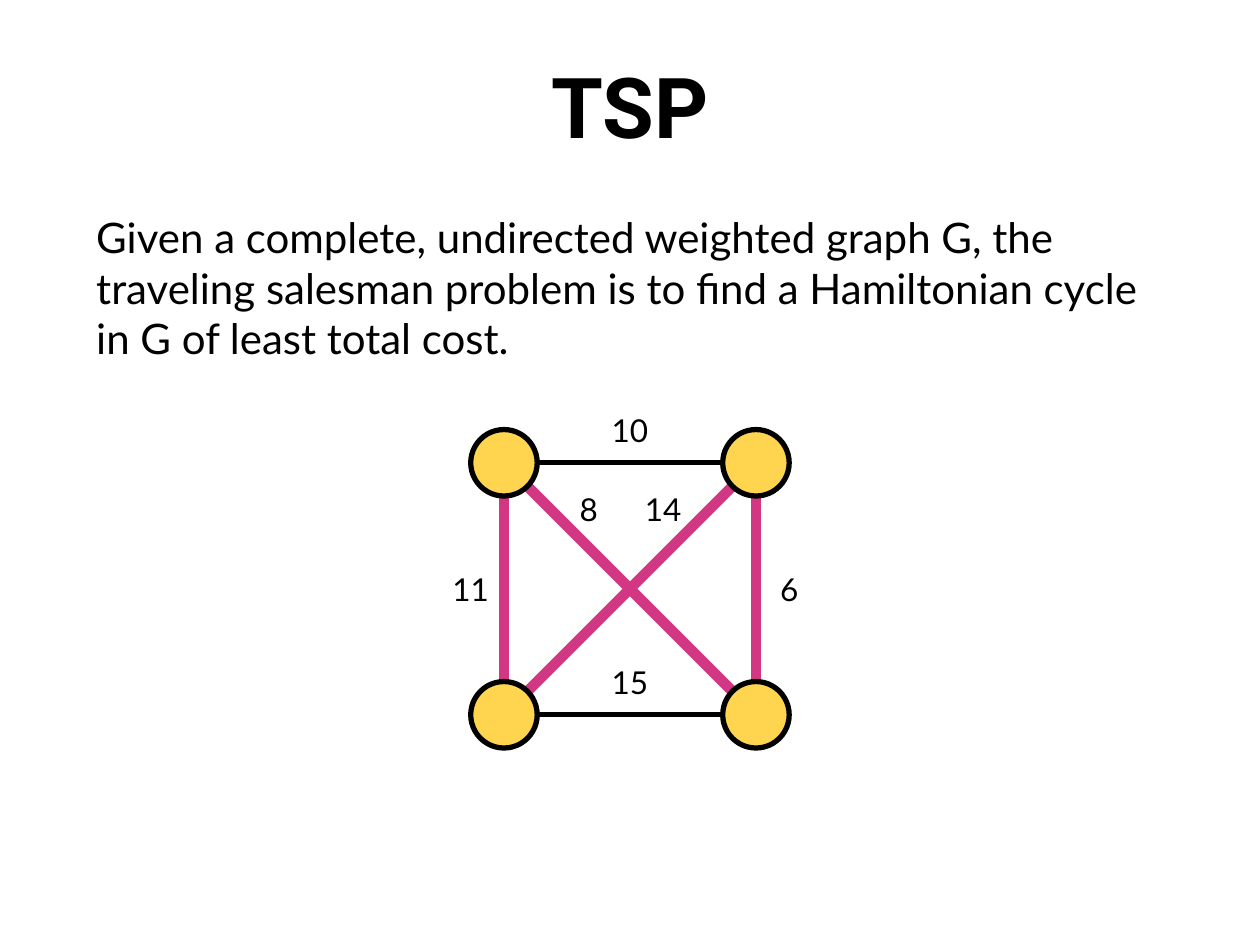
from math import hypot

from lxml.etree import SubElement
from pptx import Presentation
from pptx.dml.color import RGBColor
from pptx.enum.shapes import MSO_CONNECTOR, MSO_SHAPE
from pptx.enum.text import MSO_ANCHOR, PP_ALIGN
from pptx.oxml.ns import qn
from pptx.util import Cm, Pt

COLORS = {"ink": "000000", "node": "FFD54F", "tour": "D33682"}


def color(name):
    return RGBColor.from_string(COLORS[name])


def write(shape, text, font, size, align, anchor, bold=False):
    """Fill a shape with one formatted run and even insets."""
    frame = shape.text_frame
    frame.word_wrap = True
    frame.vertical_anchor = anchor
    frame.margin_left = frame.margin_right = Cm(0.25)
    frame.margin_top = frame.margin_bottom = Cm(0.25)
    para = frame.paragraphs[0]
    para.alignment = align
    para.space_before = Pt(0)
    run = para.add_run()
    run.text = text
    run.font.name = font
    run.font.size = Pt(size)
    run.font.bold = bold
    run.font.color.rgb = color("ink")
    return para


deck = Presentation()
deck.slide_width, deck.slide_height = Cm(25.4), Cm(19.05)
slide = deck.slides.add_slide(deck.slide_layouts[1])
shapes = slide.shapes

# Title and definition
title, body = slide.placeholders
title.left, title.top, title.width, title.height = Cm(0), Cm(0.85), Cm(25.4), Cm(3.17)
write(title, "TSP", "Roboto", 48, PP_ALIGN.CENTER, MSO_ANCHOR.TOP, True)

body.left, body.top, body.width, body.height = Cm(1.69), Cm(4.02), Cm(22.02), Cm(15.03)
para = write(
    body,
    "Given a complete, undirected weighted graph G, the traveling salesman "
    "problem is to find a Hamiltonian cycle in G of least total cost.",
    "Lato", 24, PP_ALIGN.LEFT, MSO_ANCHOR.TOP)
props = para._p.get_or_add_pPr()
props.set("marL", "0")
props.set("indent", "0")
SubElement(props, qn("a:buNone"))

# Graph: node centres, and edges as (from, to, weight, label centre, on tour)
SIZE = 1.34
LEFT, RIGHT, TOP, BOTTOM = 10.16, 15.24, 9.33, 14.41
MID = (LEFT + RIGHT) / 2
nodes = {"A": (LEFT, TOP), "B": (RIGHT, TOP), "C": (LEFT, BOTTOM), "D": (RIGHT, BOTTOM)}
side = (TOP + BOTTOM) / 2
edges = [
    ("B", "C", "14", (13.37, 10.25), True),
    ("D", "A", "8", (11.87, 10.25), True),
    ("C", "A", "11", (LEFT - SIZE / 2, side), True),
    ("D", "B", "6", (RIGHT + SIZE / 2, side), True),
    ("B", "A", "10", (MID, TOP - SIZE / 2), False),
    ("C", "D", "15", (MID, BOTTOM - SIZE / 2), False),
]

for start, end, _, _, tour in edges:
    (x1, y1), (x2, y2) = nodes[start], nodes[end]
    trim = SIZE / 2 / hypot(x2 - x1, y2 - y1)
    dx, dy = (x2 - x1) * trim, (y2 - y1) * trim
    edge = shapes.add_connector(
        MSO_CONNECTOR.STRAIGHT, Cm(x1 + dx), Cm(y1 + dy), Cm(x2 - dx), Cm(y2 - dy))
    edge.line.color.rgb = color("tour" if tour else "ink")
    edge.line.width = Pt(6 if tour else 3)
    SubElement(edge._element.spPr, qn("a:effectLst"))

for x, y in nodes.values():
    node = shapes.add_shape(
        MSO_SHAPE.OVAL, Cm(x - SIZE / 2), Cm(y - SIZE / 2), Cm(SIZE), Cm(SIZE))
    node.shadow.inherit = False
    node.fill.solid()
    node.fill.fore_color.rgb = color("node")
    node.line.color.rgb = color("ink")
    node.line.width = Pt(3)

for _, _, weight, (x, y), _ in edges:
    label = shapes.add_textbox(Cm(x - SIZE / 2), Cm(y - SIZE / 2), Cm(SIZE), Cm(SIZE))
    write(label, weight, "Lato", 18, PP_ALIGN.CENTER, MSO_ANCHOR.MIDDLE)

deck.save("out.pptx")
